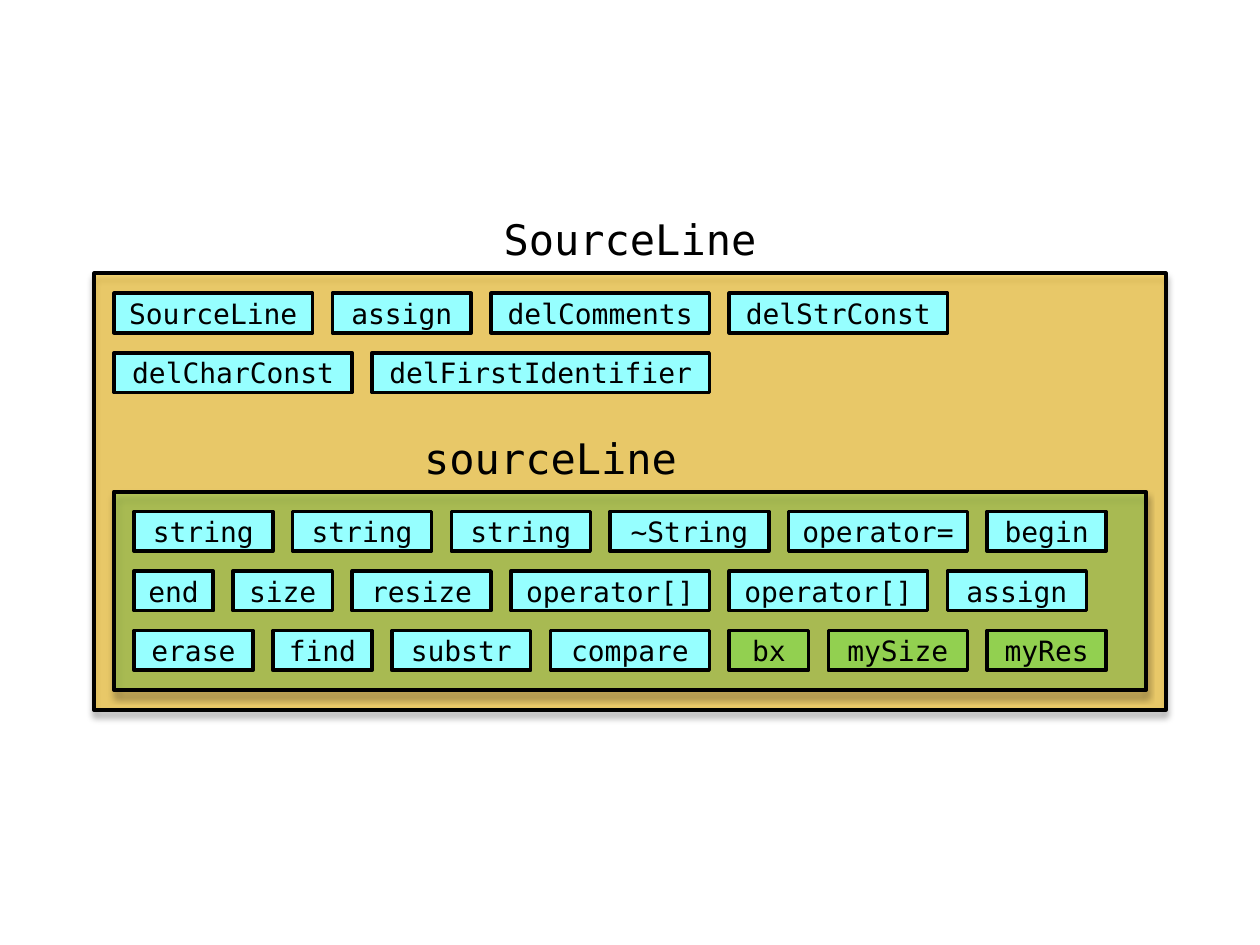
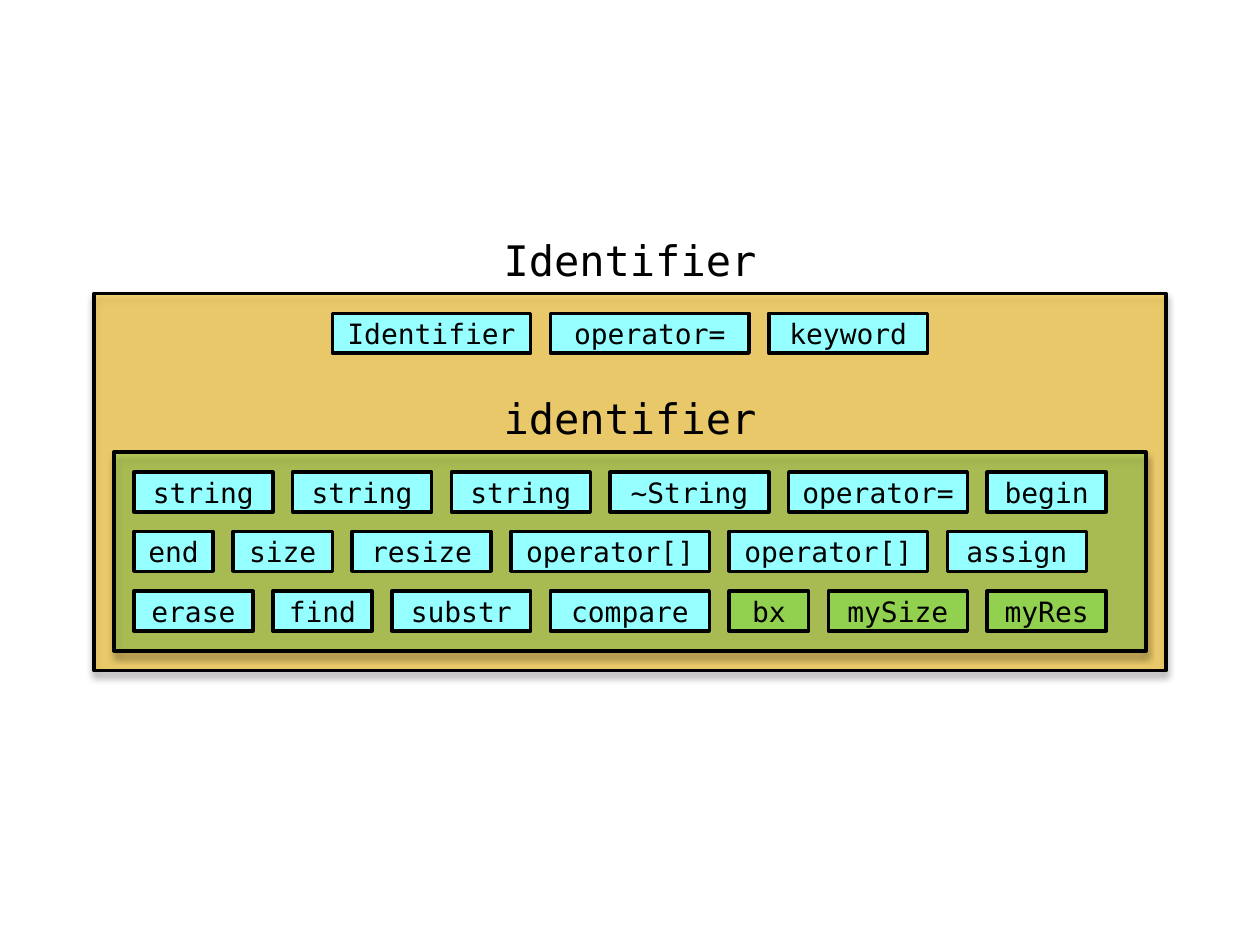
"""Draw the member diagrams of the SourceLine and Identifier objects."""
from lxml.etree import SubElement
from pptx import Presentation
from pptx.dml.color import RGBColor
from pptx.enum.shapes import MSO_SHAPE
from pptx.enum.text import MSO_ANCHOR, PP_ALIGN
from pptx.oxml.ns import qn
from pptx.util import Inches, Pt

BLACK = RGBColor(0x00, 0x00, 0x00)
CYAN = RGBColor(0x96, 0xFF, 0xFF)
GREEN = RGBColor(0x92, 0xD0, 0x50)
AMBER = RGBColor(0xFF, 0xC0, 0x00)
FONT = "DejaVu Sans Mono"

UNIT = 0.4 / 2.54
OUTER_WIDTH, INNER_WIDTH, INNER_HEIGHT = 54, 52, 10
MEMBER_HEIGHT, ROW_PITCH = 2, 3
TITLE_WIDTH, TITLE_HEIGHT = 16, 3

DATA_MEMBERS = {"bx", "mySize", "myRes"}
STRING_ROWS = [
    [("string", 7), ("string", 7), ("string", 7), ("~String", 8), ("operator=", 9), ("begin", 6)],
    [("end", 4), ("size", 5), ("resize", 7), ("operator[]", 10), ("operator[]", 10), ("assign", 7)],
    [("erase", 6), ("find", 5), ("substr", 7), ("compare", 8), ("bx", 4), ("mySize", 7), ("myRes", 6)],
]
DIAGRAMS = [
    {
        "class": "SourceLine", "base": "sourceLine", "top": 2.17,
        "base_offset": 11, "base_title_left": 15, "rows_left": 1,
        "rows": [
            [("SourceLine", 10), ("assign", 7), ("delComments", 11), ("delStrConst", 11)],
            [("delCharConst", 12), ("delFirstIdentifier", 17)],
        ],
    },
    {
        "class": "Identifier", "base": "identifier", "top": 2.33,
        "base_offset": 8, "base_title_left": 19, "rows_left": 12,
        "rows": [[("Identifier", 10), ("operator=", 10), ("keyword", 8)]],
    },
]


def write(shape, text, size):
    frame = shape.text_frame
    frame.text = text
    frame.word_wrap = True
    paragraph = frame.paragraphs[0]
    paragraph.alignment = PP_ALIGN.CENTER
    font = paragraph.runs[0].font
    font.name, font.size = FONT, Pt(size)
    font.color.rgb = BLACK
    return frame


def add_box(slide, left, top, width, height, color, line_width):
    box = slide.shapes.add_shape(
        MSO_SHAPE.FLOWCHART_PROCESS, Inches(left), Inches(top),
        Inches(width * UNIT), Inches(height * UNIT))
    box.shadow.inherit = False
    box.fill.solid()
    box.fill.fore_color.rgb = color
    box.line.color.rgb = BLACK
    box.line.width = Pt(line_width)
    return box


def add_panel(slide, left, top, width, height, color):
    properties = add_box(slide, left, top, width, height, color, 2.25)._element.spPr
    fill_color = properties.find(qn("a:solidFill")).find(qn("a:srgbClr"))
    SubElement(fill_color, qn("a:alpha"), val="50000")
    shadow = SubElement(
        properties.find(qn("a:effectLst")), qn("a:outerShdw"),
        blurRad=str(Pt(4)), dist=str(Pt(3)), dir="5400000", rotWithShape="0")
    shadow_color = SubElement(shadow, qn("a:srgbClr"), val=str(BLACK))
    SubElement(shadow_color, qn("a:alpha"), val="35000")


def add_title(slide, text, left, panel_top):
    title = slide.shapes.add_textbox(
        Inches(left), Inches(panel_top - TITLE_HEIGHT * UNIT),
        Inches(TITLE_WIDTH * UNIT), Inches(TITLE_HEIGHT * UNIT))
    frame = write(title, text, 24)
    frame.margin_top = frame.margin_bottom = 0


def add_members(slide, rows, left, top):
    for row_index, row in enumerate(rows):
        member_left = left
        for name, width in row:
            color = GREEN if name in DATA_MEMBERS else CYAN
            member = add_box(slide, member_left, top + row_index * ROW_PITCH * UNIT,
                             width, MEMBER_HEIGHT, color, 2)
            write(member, name, 16).vertical_anchor = MSO_ANCHOR.MIDDLE
            member_left += (width + 1) * UNIT


presentation = Presentation()
presentation.slide_width, presentation.slide_height = Inches(10), Inches(7.5)
outer_left = (10 - OUTER_WIDTH * UNIT) / 2
inner_left = outer_left + UNIT
class_title_left = (10 - TITLE_WIDTH * UNIT) / 2

for diagram in DIAGRAMS:
    slide = presentation.slides.add_slide(presentation.slide_layouts[6])
    outer_top = diagram["top"]
    inner_top = outer_top + diagram["base_offset"] * UNIT
    outer_height = diagram["base_offset"] + INNER_HEIGHT + 1

    add_panel(slide, outer_left, outer_top, OUTER_WIDTH, outer_height, AMBER)
    add_members(slide, diagram["rows"],
                outer_left + diagram["rows_left"] * UNIT, outer_top + UNIT)
    add_title(slide, diagram["class"], class_title_left, outer_top)
    add_title(slide, diagram["base"],
              outer_left + diagram["base_title_left"] * UNIT, inner_top)
    add_panel(slide, inner_left, inner_top, INNER_WIDTH, INNER_HEIGHT, GREEN)
    add_members(slide, STRING_ROWS, inner_left + UNIT, inner_top + UNIT)

presentation.save("out.pptx")
